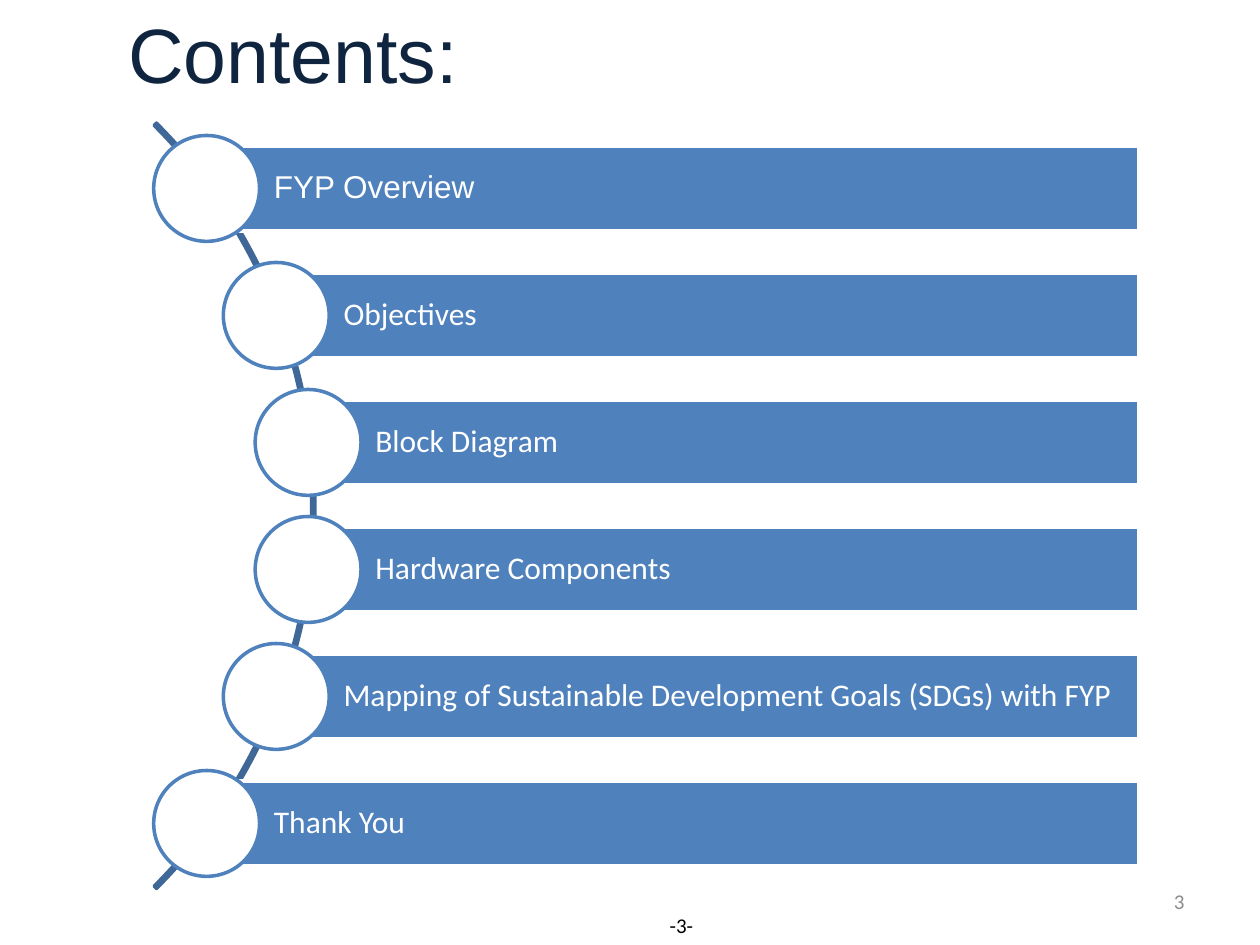
from pptx import Presentation
from pptx.dml.color import RGBColor
from pptx.enum.shapes import MSO_SHAPE
from pptx.enum.text import MSO_ANCHOR, PP_ALIGN
from pptx.util import Pt


def add_shape(kind, x, y, w, h, fill, line):
    sp = s.shapes.add_shape(kind, Pt(x), Pt(y), Pt(w), Pt(h))
    sp.shadow.inherit = False
    if fill:
        sp.fill.solid()
        sp.fill.fore_color.rgb = RGBColor.from_string(fill)
    else:
        sp.fill.background()
    sp.line.color.rgb = RGBColor.from_string(line)
    sp.line.width = Pt(2)
    return sp


def add_text(sp, text, size, font, color, align=PP_ALIGN.LEFT):
    tf = sp.text_frame
    tf.word_wrap = True
    tf.vertical_anchor = MSO_ANCHOR.MIDDLE
    p = tf.paragraphs[0]
    p.alignment = align
    r = p.add_run()
    r.text = text
    r.font.size = Pt(size)
    r.font.name = font
    r.font.color.rgb = RGBColor.from_string(color)
    return tf


BLUE, WHITE = "4F81BD", "FFFFFF"

prs = Presentation()
prs.slide_width, prs.slide_height = Pt(720), Pt(540)
s = prs.slides.add_slide(prs.slide_layouts[6])

title = s.shapes.add_textbox(Pt(66.2), Pt(0), Pt(260), Pt(60.5))
add_text(title, "Contents:", 44, "Arial", "0F243E")

# Thin arc behind the list, from -45 to +45 degrees
arc = add_shape(MSO_SHAPE.BLOCK_ARC, -438.5, -20.2, 618.5, 618.5, None, "3F6797")
for i, value in enumerate((189, 27, 0.003)):
    arc.adjustments[i] = value

items = [
    ("FYP Overview", "Arial"),
    ("Objectives", "Calibri"),
    ("Block Diagram", "Calibri"),
    ("Hardware Components", "Calibri"),
    ("Mapping of Sustainable Development Goals (SDGs) with FYP", "Calibri"),
    ("Thank You", "Calibri"),
]
lefts = [118.1, 157.9, 176.1]
lefts += lefts[::-1]
right, first, pitch = 650.6, 107.7, 72.57
bar_h, dia = 48.4, 60.5

for i, ((text, font), x) in enumerate(zip(items, lefts)):
    mid = first + i * pitch
    bar = add_shape(MSO_SHAPE.RECTANGLE, x, mid - bar_h / 2, right - x, bar_h, BLUE, WHITE)
    tf = add_text(bar, text, 18, font, WHITE)
    tf.margin_left = Pt(38.4)
    tf.margin_right = tf.margin_top = tf.margin_bottom = Pt(3.6)
    tf.paragraphs[0].line_spacing = 0.9
    add_shape(MSO_SHAPE.OVAL, x - dia / 2, mid - dia / 2, dia, dia, WHITE, BLUE)

number = s.shapes.add_textbox(Pt(516), Pt(500.5), Pt(168), Pt(28.75))
add_text(number, "3", 12, "Calibri", "8C8C8C", PP_ALIGN.RIGHT)
footer = s.shapes.add_textbox(Pt(374.4), Pt(519), Pt(28.8), Pt(19.5))
tf = add_text(footer, "-3-", 12, "Calibri", "000000", PP_ALIGN.RIGHT)
tf.word_wrap = False

prs.save("out.pptx")
